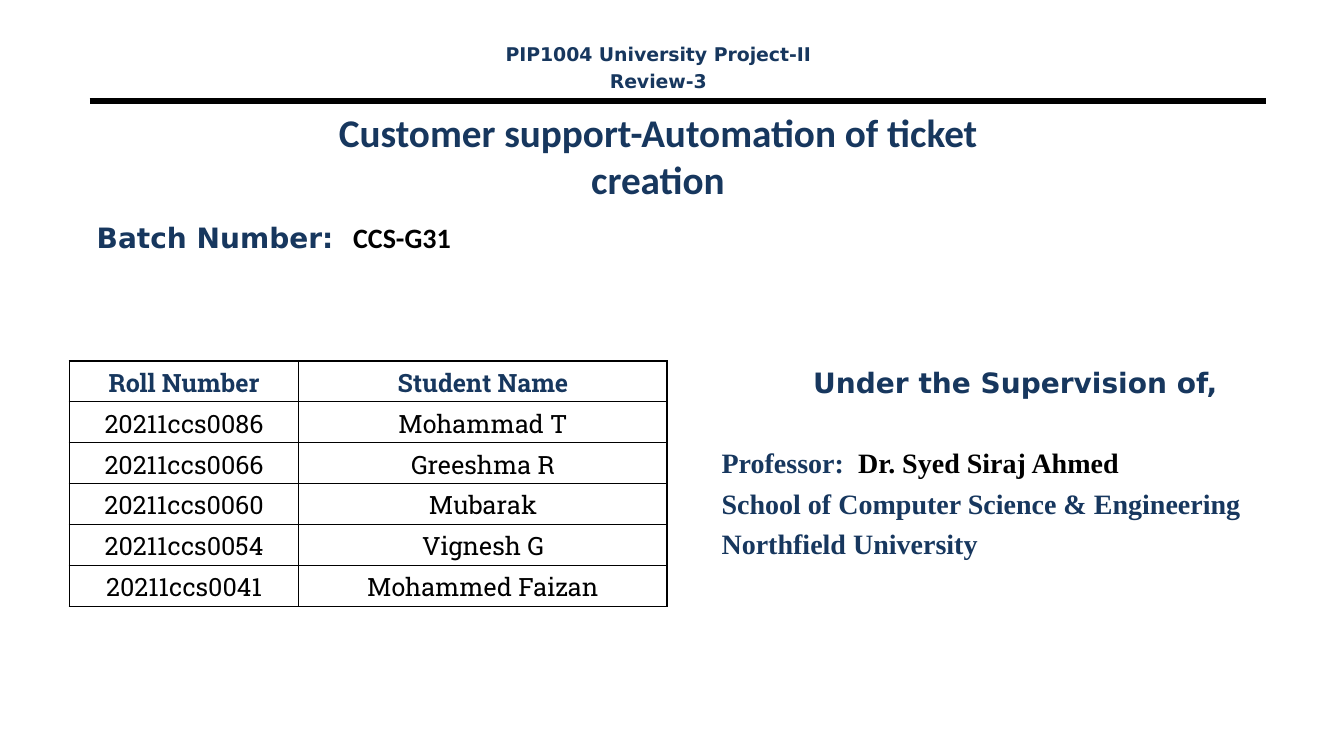
from lxml import etree
from pptx import Presentation
from pptx.dml.color import RGBColor
from pptx.enum.shapes import MSO_CONNECTOR
from pptx.enum.text import MSO_ANCHOR, MSO_AUTO_SIZE, PP_ALIGN
from pptx.oxml.ns import qn
from pptx.util import Pt

LINE = MSO_CONNECTOR.STRAIGHT
MIDDLE = MSO_ANCHOR.MIDDLE
FIXED = MSO_AUTO_SIZE.NONE
LEFT, CENTER = PP_ALIGN.LEFT, PP_ALIGN.CENTER
COLORS = {"navy": "17375E", "black": "000000"}
SANS, BODY, SLAB, SERIF = "DejaVu Sans", "Calibri", "Roboto Slab", "Times New Roman"
STUDENTS = [
    ("Roll Number", "Student Name"),
    ("20211ccs0086", "Mohammad T"),
    ("20211ccs0066", "Greeshma R"),
    ("20211ccs0060", "Mubarak"),
    ("20211ccs0054", "Vignesh G"),
    ("20211ccs0041", "Mohammed Faizan"),
]


def color(name):
    """Return the named colour."""
    return RGBColor.from_string(COLORS[name])


def add_run(para, text, face, size, hue="navy", bold=True):
    """Append one formatted run."""
    run = para.add_run()
    run.text = text
    font = run.font
    font.name, font.size, font.bold = face, Pt(size), bold
    font.color.rgb = color(hue)


def add_title(slide, lines):
    """Place the title and fill its lines."""
    title = slide.shapes.title
    title.left, title.top, title.width, title.height = Pt(62), Pt(84), Pt(816), Pt(53.5)
    frame = title.text_frame
    frame.auto_size, frame.vertical_anchor = FIXED, MIDDLE
    para = frame.paragraphs[0]
    para.alignment = CENTER
    for i, line in enumerate(lines):
        if i:
            para.add_line_break()
        add_run(para, line, BODY, 28)


def add_text(slide, box, size, paras):
    """Add a text box from (alignment, space before, runs) paragraphs."""
    frame = slide.shapes.add_textbox(*map(Pt, box)).text_frame
    frame.word_wrap = True
    for i, (align, gap, runs) in enumerate(paras):
        para = frame.add_paragraph() if i else frame.paragraphs[0]
        para.alignment, para.space_before = align, Pt(gap)
        for text, face, hue in runs:
            add_run(para, text, face, size, hue)


def add_rule(slide, left, right, top, width):
    """Draw a horizontal black rule."""
    rule = slide.shapes.add_connector(LINE, Pt(left), Pt(top), Pt(right), Pt(top))
    rule.line.color.rgb, rule.line.width = color("black"), Pt(width)
    etree.SubElement(rule._element.spPr, qn("a:effectLst"))


def add_border(cell):
    """Outline a cell on all four sides."""
    props = cell._tc.get_or_add_tcPr()
    for i, side in enumerate(("lnL", "lnR", "lnT", "lnB")):
        edge = etree.Element(qn("a:" + side), w=str(Pt(1)))
        fill = etree.SubElement(edge, qn("a:solidFill"))
        etree.SubElement(fill, qn("a:srgbClr"), val=COLORS["black"])
        props.insert(i, edge)


def add_grid(slide, rows, box, widths):
    """Add the bordered student table."""
    table = slide.shapes.add_table(len(rows), len(widths), *map(Pt, box)).table
    table.first_row = table.horz_banding = False
    for col, width in zip(table.columns, widths):
        col.width = Pt(width)
    for r, row in enumerate(rows):
        for c, text in enumerate(row):
            cell = table.cell(r, c)
            cell.fill.background()
            cell.vertical_anchor = MIDDLE
            add_border(cell)
            para = cell.text_frame.paragraphs[0]
            para.alignment = CENTER
            add_run(para, text, SLAB, 18, "black" if r else "navy", r == 0)


def main():
    """Build and save the slide."""
    deck = Presentation()
    deck.slide_width, deck.slide_height = Pt(960), Pt(540)
    slide = deck.slides.add_slide(deck.slide_layouts[5])
    add_rule(slide, 64, 904.5, 72, 4.5)
    add_title(slide, ["Customer support-Automation of ticket", "creation"])
    add_text(slide, (62, 154, 312.5, 43), 20, [
        (LEFT, 4.8, [("Batch Number:  ", SANS, "navy"), ("CCS-G31", BODY, "black")]),
    ])
    add_grid(slide, STUDENTS, (49.5, 257.8, 427, 175.2), (164, 263))
    add_text(slide, (508.3, 257.8, 434, 191.5), 20, [
        (CENTER, 4.8, [("Under the Supervision of,", SANS, "navy")]),
        (LEFT, 33, [("Professor:  ", SERIF, "navy"), ("Dr. Syed Siraj Ahmed", SERIF, "black")]),
        (LEFT, 4.8, [("School of Computer Science & Engineering", SERIF, "navy")]),
        (LEFT, 4.8, [("Northfield University", SERIF, "navy")]),
    ])
    add_text(slide, (314, 26.6, 312.5, 43), 13.5, [
        (CENTER, 3.2, [(text, SANS, "navy")])
        for text in ("PIP1004 University Project-II", "Review-3")
    ])
    deck.save("out.pptx")


if __name__ == "__main__":
    main()
